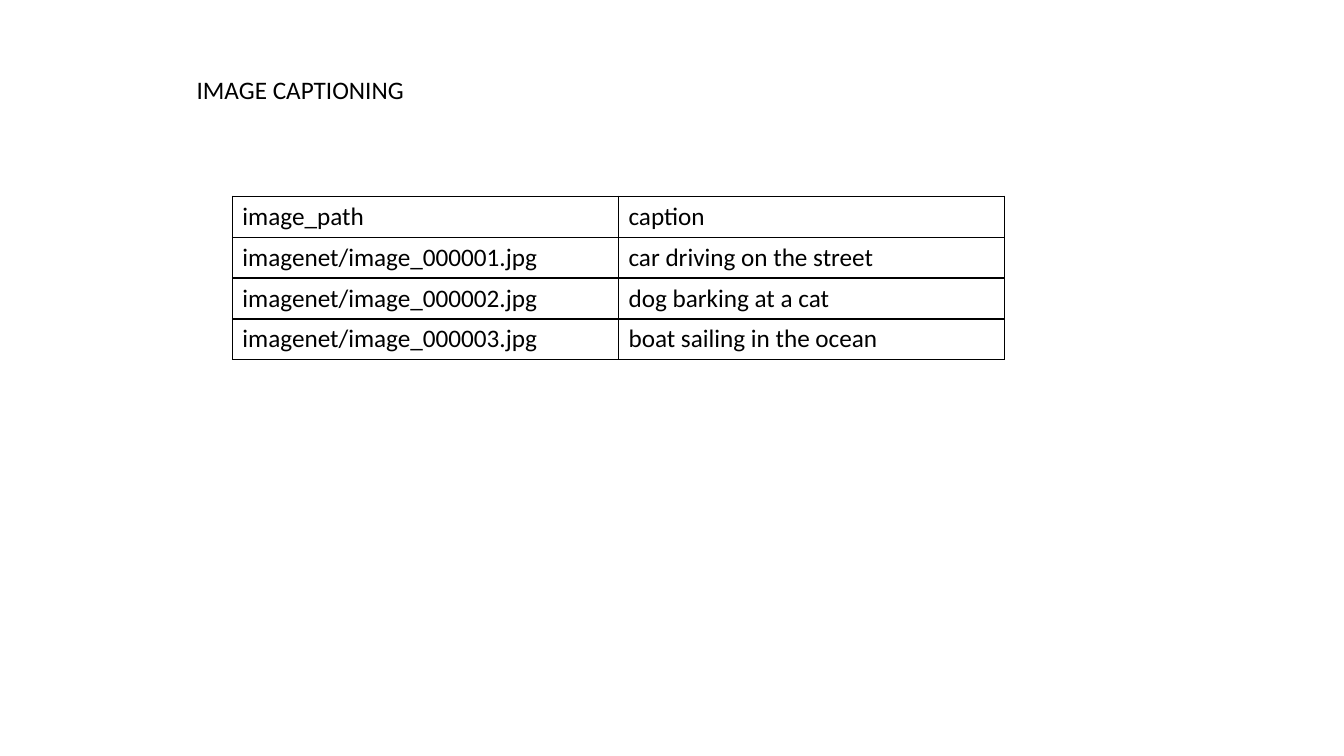
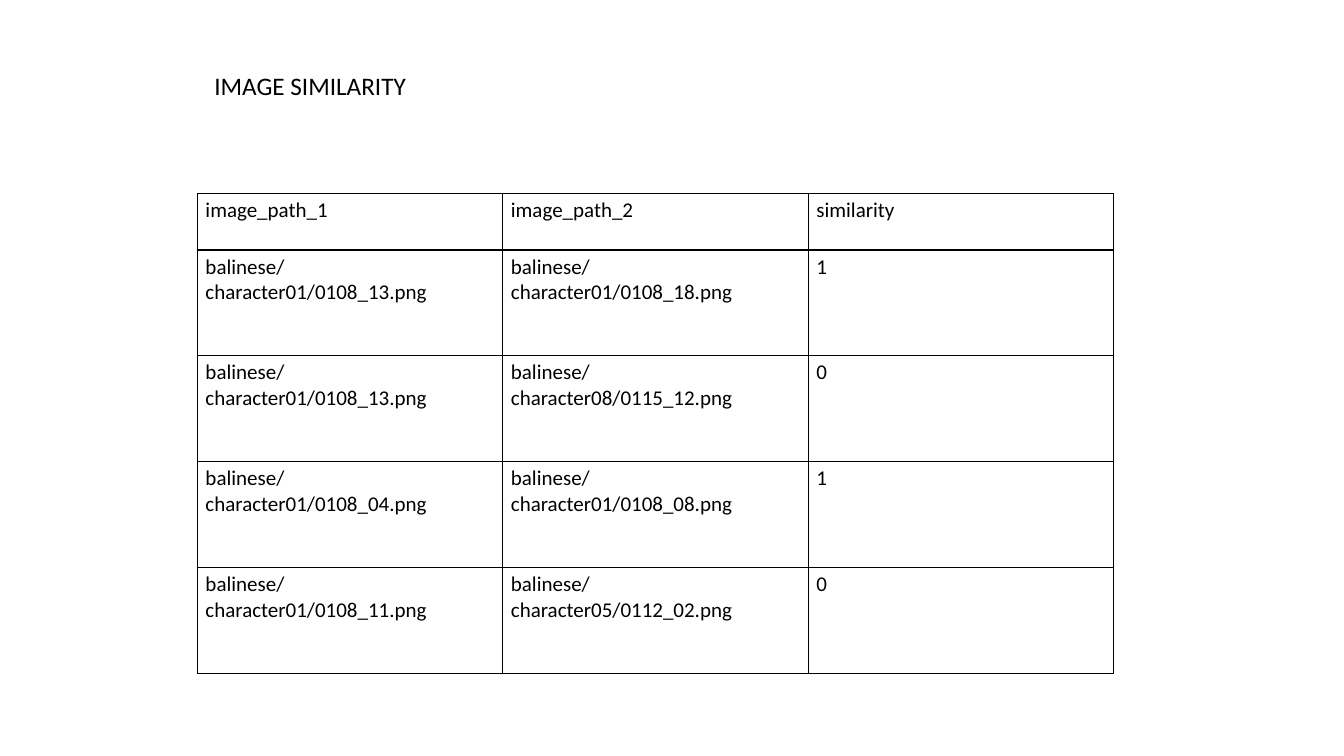
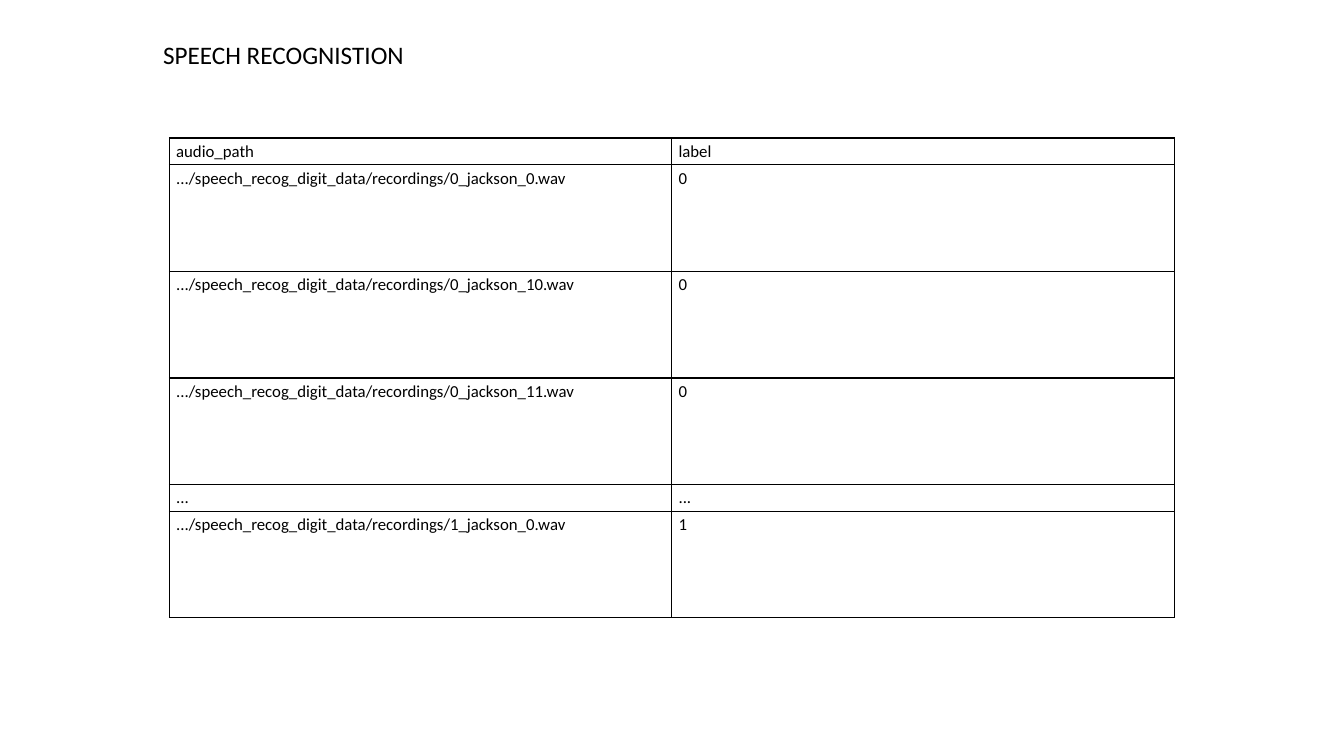
from lxml import etree
from pptx import Presentation
from pptx import util as u
from pptx.dml import color
from pptx.oxml import ns

HUES = {"ink": "000000", "page": "FFFFFF"}
FONT = "Calibri"
SPEECH = ".../speech_recog_digit_data/recordings/"


def write(frame, words, size=18, hue="ink"):
    """Put one formatted line of text into a text frame."""
    run = frame.paragraphs[0].add_run()
    run.text = words
    run.font.name = FONT
    run.font.size = u.Pt(size)
    run.font.color.rgb = color.RGBColor.from_string(HUES[hue])


def title(slide, box, words):
    """Place the slide title in its box."""
    shape = slide.shapes.add_textbox(*map(u.Pt, box))
    shape.text_frame.word_wrap = True
    write(shape.text_frame, words)


def rule(cell, width=1, hue="ink"):
    """Draw a solid line on all four sides of a cell."""
    props = cell._tc.get_or_add_tcPr()
    for place, side in enumerate(("lnL", "lnR", "lnT", "lnB")):
        line = etree.Element(ns.qn("a:" + side), w=str(u.Pt(width)))
        fill = etree.SubElement(line, ns.qn("a:solidFill"))
        etree.SubElement(fill, ns.qn("a:srgbClr"), val=HUES[hue])
        props.insert(place, line)


def grid(slide, box, rows, highs, size, pad):
    """Fill a box with a ruled table of equal columns."""
    left, top, width = box
    count = len(rows[0])
    area = map(u.Pt, (left, top, width, sum(highs)))
    table = slide.shapes.add_table(len(rows), count, *area).table
    table.first_row = table.horz_banding = False
    for col in table.columns:
        col.width = u.Pt(width / count)
    for row, high, words in zip(table.rows, highs, rows):
        row.height = u.Pt(high)
        for cell, word in zip(row.cells, words):
            cell.margin_left = cell.margin_right = u.Pt(pad)
            cell.margin_top = cell.margin_bottom = u.Pt(pad / 2)
            cell.fill.background()
            rule(cell)
            write(cell.text_frame, word, size=size)


def page(deck, head, spot, box, rows, highs, size, pad):
    """Add a slide with a title above a table."""
    slide = deck.slides.add_slide(deck.slide_layouts[6])
    fill = slide.background.fill
    fill.solid()
    fill.fore_color.rgb = color.RGBColor.from_string(HUES["page"])
    grid(slide, box, rows, highs, size, pad)
    title(slide, (*spot, 29), head)


def pair(first, second, score):
    """Return a row that compares two character files."""
    return [f"balinese/character{name}.png" for name in (first, second)] + [score]


def main():
    """Build and save the three slides."""
    deck = Presentation()
    deck.slide_width, deck.slide_height = u.Pt(960), u.Pt(540)

    notes = ["car driving on the street", "dog barking at a cat", "boat sailing in the ocean"]
    rows = [("image_path", "caption")]
    rows += [(f"imagenet/image_{num:06}.jpg", note) for num, note in enumerate(notes, 1)]
    page(deck, "IMAGE CAPTIONING", (133.4, 49.7, 614), (166, 140.2, 551.6),
         rows, [29.2] * 4, 18, 7.2)

    rows = [
        ("image_path_1", "image_path_2", "similarity"),
        pair("01/0108_13", "01/0108_18", "1"),
        pair("01/0108_13", "08/0115_12", "0"),
        pair("01/0108_04", "01/0108_08", "1"),
        pair("01/0108_11", "05/0112_02", "0"),
    ]
    page(deck, "IMAGE SIMILARITY", (146, 46.8, 619), (141, 138.4, 654.6),
         rows, [40.2] + [75.6] * 4, 15, 5.8)

    rows = [
        ("audio_path", "label"),
        (SPEECH + "0_jackson_0.wav", "0"),
        (SPEECH + "0_jackson_10.wav", "0"),
        (SPEECH + "0_jackson_11.wav", "0"),
        ("...", "..."),
        (SPEECH + "1_jackson_0.wav", "1"),
    ]
    page(deck, "SPEECH RECOGNISTION", (109.4, 24.6, 697), (121, 98.6, 717.8),
         rows, [19.2 if row[1] in ("label", "...") else 76.1 for row in rows], 12, 4.8)

    deck.save("out.pptx")


main()
